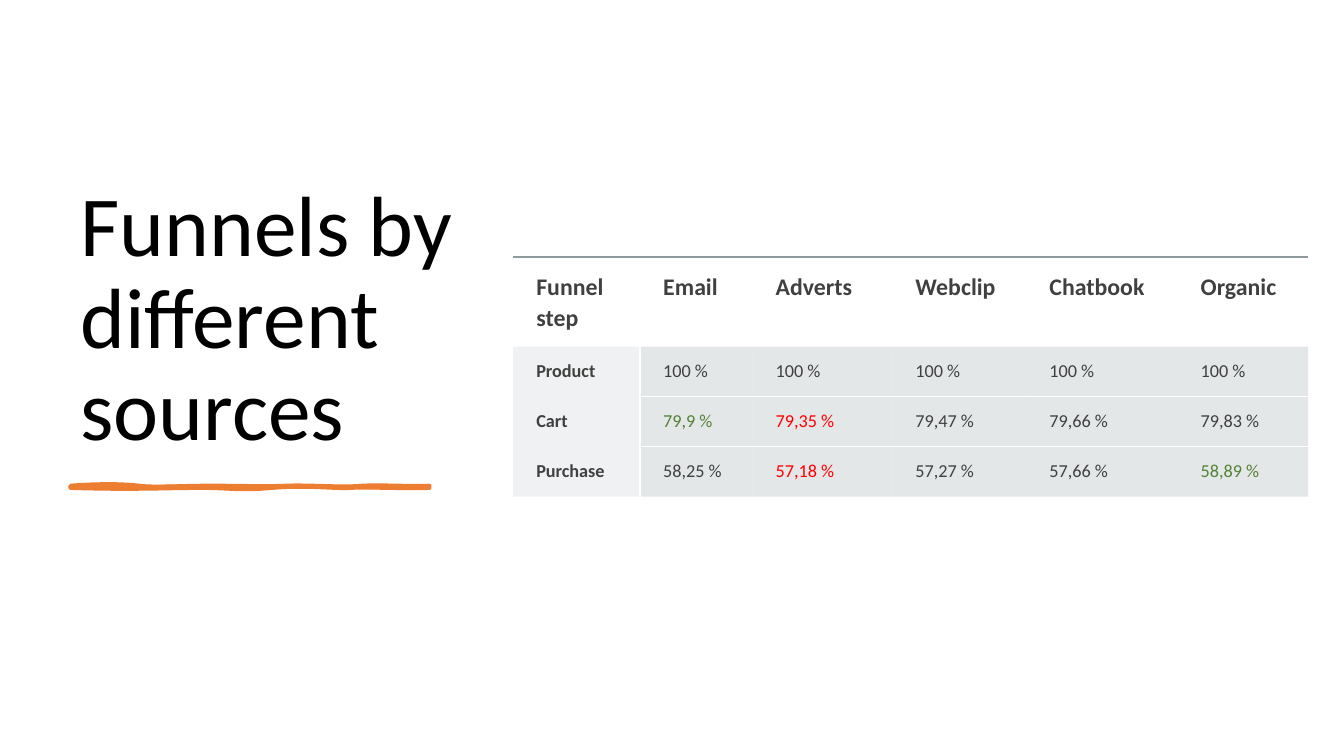
from lxml import etree
from pptx import Presentation, util as u
from pptx.dml.color import RGBColor
from pptx.enum import text
from pptx.oxml import ns

BLACK = RGBColor(0x00, 0x00, 0x00)
WHITE = RGBColor(0xFF, 0xFF, 0xFF)
ORANGE = RGBColor(0xED, 0x7D, 0x31)
CHARCOAL = RGBColor(0x40, 0x40, 0x40)
GREEN = RGBColor(0x54, 0x82, 0x35)
RED = RGBColor(0xFF, 0x00, 0x00)
BAND = RGBColor(0xB4, 0xBC, 0xBE)
RULE = RGBColor(0x8F, 0x9A, 0x9D)
FONT = "Calibri"
PLAIN_STYLE = "{2D5ABB26-0587-4C30-8999-92F81FD0307C}"

FUNNEL = [
    ["Funnel step", "Email", "Adverts", "Webclip", "Chatbook", "Organic"],
    ["Product", "100 %", "100 %", "100 %", "100 %", "100 %"],
    ["Cart", "79,9 %", "79,35 %", "79,47 %", "79,66 %", "79,83 %"],
    ["Purchase", "58,25 %", "57,18 %", "57,27 %", "57,66 %", "58,89 %"],
]
HIGHLIGHTS = {(2, 1): GREEN, (2, 2): RED, (3, 2): RED, (3, 5): GREEN}
COLUMN_WIDTHS = [90.7, 80.3, 99.9, 95.7, 108, 93.4]
ROW_HEIGHTS = [64.2, 35.7, 35.7, 35.7]

STROKE_UNIT = 0.72
STROKE_OUTLINE = [
    (0, 0), (27, -2), (51, -2), (68, 0), (85, 2), (107, 0), (139, 0),
    (171, 0), (190, 1), (214, 0), (238, -1), (269, 2), (289, 0),
    (309, -1), (342, 1), (356, 0), (356, 1), (356, 2), (356, 2),
    (338, 3), (294, 1), (278, 2), (262, 3), (234, -1), (200, 2),
    (165, 5), (161, 2), (129, 2), (96, 2), (62, 4), (0, 2),
    (0, 2), (0, 1), (0, 0),
]
STROKE_BODY = [
    (0, 0), (32, 2), (40, 1), (68, 0), (96, -1), (99, -2), (129, 0),
    (158, 2), (191, 1), (207, 0), (223, -1), (257, 3), (274, 0),
    (292, -2), (327, 4), (356, 0), (356, 1), (356, 1), (356, 2),
    (342, 2), (302, 5), (285, 2), (268, 0), (239, 2), (207, 2),
    (174, 2), (170, 1), (146, 2), (123, 3), (109, 1), (75, 2),
    (41, 3), (22, 2), (0, 2), (0, 1), (0, 1), (0, 0),
]


def style(paragraph, size, color, bold, spacing):
    """Set the font and line spacing of a paragraph."""
    paragraph.line_spacing = spacing
    paragraph.font.name = FONT
    paragraph.font.size = u.Pt(size)
    paragraph.font.bold = bold
    paragraph.font.color.rgb = color


def add_title(slide, left, top, width, height):
    """Place the heading at the bottom of its box."""
    frame = slide.shapes.add_textbox(
        u.Pt(left), u.Pt(top), u.Pt(width), u.Pt(height)).text_frame
    frame.word_wrap = True
    frame.vertical_anchor = text.MSO_ANCHOR.BOTTOM
    frame.text = "Funnels by different sources"
    style(frame.paragraphs[0], 61, BLACK, False, 0.9)


def add_curves(outlines, knots, width, height, **options):
    """Append one closed chain of cubic curves to a shape's outlines."""
    outline = etree.SubElement(
        outlines, ns.qn("a:path"), w=str(width), h=str(height), **options)
    groups = [("moveTo", knots[:1])]
    groups += [("cubicBezTo", knots[i:i + 3]) for i in range(1, len(knots), 3)]
    for command, points in groups:
        segment = etree.SubElement(outline, ns.qn("a:" + command))
        for x, y in points:
            etree.SubElement(segment, ns.qn("a:pt"), x=str(x), y=str(y))
    etree.SubElement(outline, ns.qn("a:close"))


def add_brush_stroke(slide, left, top):
    """Draw the hand-drawn underline with a stroked and a filled outline."""
    width, height = 356, 2
    builder = slide.shapes.build_freeform(0, 0, scale=u.Pt(STROKE_UNIT))
    builder.add_line_segments([(width, 0), (width, height), (0, height)])
    stroke = builder.convert_to_shape(u.Pt(left), u.Pt(top))
    outlines = stroke._element.find(".//" + ns.qn("a:pathLst"))
    outlines.remove(outlines[0])
    add_curves(outlines, STROKE_OUTLINE, width, height, fill="none")
    add_curves(outlines, STROKE_BODY, width, height, stroke="0")
    stroke.shadow.inherit = False
    stroke.fill.solid()
    stroke.fill.fore_color.rgb = ORANGE
    stroke.line.color.rgb = ORANGE
    stroke.line.width = u.Pt(3)


def add_alpha(color, percent):
    """Give a colour element an opacity."""
    etree.SubElement(color, ns.qn("a:alpha"), val=str(percent * 1000))


def set_edges(cell, edges, color, percent=100):
    """Draw the named edges of a cell and clear the others."""
    properties = cell._tc.get_or_add_tcPr()
    for index, edge in enumerate("LRTB"):
        line = etree.Element(ns.qn("a:ln" + edge), w=str(u.Pt(1.5)))
        properties.insert(index, line)
        if edge not in edges:
            etree.SubElement(line, ns.qn("a:noFill"))
            continue
        fill = etree.SubElement(line, ns.qn("a:solidFill"))
        add_alpha(etree.SubElement(fill, ns.qn("a:srgbClr"), val=str(color)), percent)


def fill_cell(cell, row, column):
    """Write and style one cell by its place in the funnel table."""
    header, label = row == 0, column == 0
    cell.text = FUNNEL[row][column]
    margin = u.Pt(10.1 if header else 8.6)
    cell.margin_left = u.Pt(16.6)
    cell.margin_right = cell.margin_top = cell.margin_bottom = margin
    style(cell.text_frame.paragraphs[0], 17 if header else 13,
          HIGHLIGHTS.get((row, column), CHARCOAL), header or label, 1.07)
    if header:
        cell.fill.background()
        set_edges(cell, "T", RULE, 60)
        return
    cell.fill.solid()
    cell.fill.fore_color.rgb = BAND
    add_alpha(cell._tc.tcPr.find(".//" + ns.qn("a:srgbClr")), 20 if label else 35)
    edges = "R" if label else (
        ("L" if column == 1 else "") + ("T" if row > 1 else "")
        + ("B" if row < len(FUNNEL) - 1 else ""))
    set_edges(cell, edges, WHITE)


def add_funnel_table(slide, left, top):
    """Build the table of funnel steps by source."""
    table = slide.shapes.add_table(
        len(ROW_HEIGHTS), len(COLUMN_WIDTHS), u.Pt(left), u.Pt(top),
        u.Pt(sum(COLUMN_WIDTHS)), u.Pt(sum(ROW_HEIGHTS))).table
    table._tbl.tblPr.find(ns.qn("a:tableStyleId")).text = PLAIN_STYLE
    table.horz_banding = False
    for column, width in zip(table.columns, COLUMN_WIDTHS):
        column.width = u.Pt(width)
    for row, height in enumerate(ROW_HEIGHTS):
        table.rows[row].height = u.Pt(height)
        for column in range(len(COLUMN_WIDTHS)):
            fill_cell(table.cell(row, column), row, column)


def main():
    """Build and save the slide."""
    deck = Presentation()
    deck.slide_width, deck.slide_height = u.Pt(960), u.Pt(540)
    slide = deck.slides.add_slide(deck.slide_layouts[6])
    add_title(slide, 50.4, 50.4, 316, 281.3)
    add_brush_stroke(slide, 50.4, 347)
    add_funnel_table(slide, 366.5, 183.4)
    deck.save("out.pptx")


if __name__ == "__main__":
    main()
